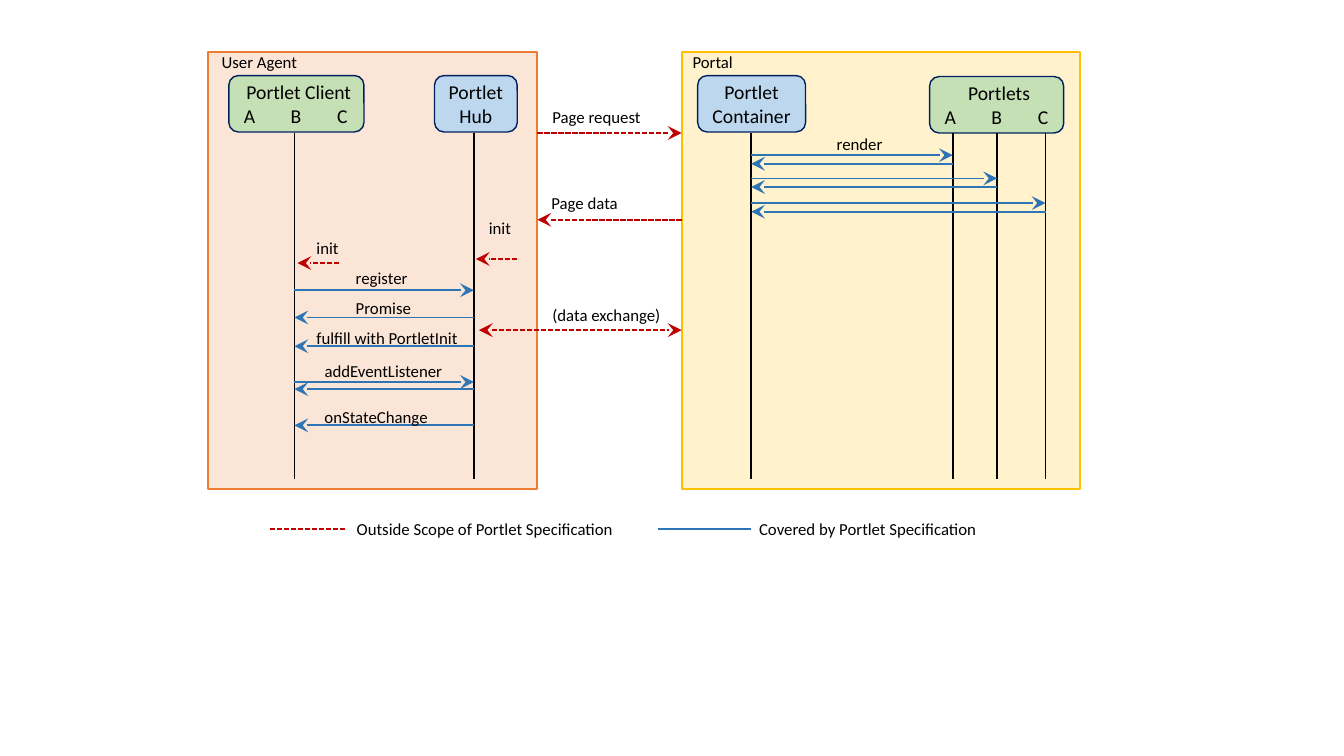
from dataclasses import dataclass

from lxml.etree import SubElement
from pptx import Presentation
from pptx.dml.color import RGBColor
from pptx.enum.dml import MSO_LINE
from pptx.enum.shapes import MSO_CONNECTOR as Connector, MSO_SHAPE as Preset
from pptx.enum.text import MSO_ANCHOR as Anchor, MSO_AUTO_SIZE as AutoSize, PP_ALIGN as Align
from pptx.oxml.ns import qn
from pptx.util import Emu, Inches, Pt

# Positions count columns and rows of a square grid.
CELL = Inches(0.1)
FONT = "Calibri"
BLACK, NAVY, GREEN, BLUE = "000000", "002060", "C5E0B4", "BDD7EE"
OUTSIDE, COVERED = "C00000", "2E75B6"
LETTER_TABS = (0.8, 5.4, 10)

# Columns of the lifelines and of the panel edges that face each other
CLIENT, HUB, CONTAINER = 29.2, 47, 74.5
PORTLETS = (94.5, 98.9, 103.7)
AGENT_EDGE, PORTAL_EDGE = 53.3, 67.6
LIFE_TOP, LIFE_END = 13.15, 47.5


@dataclass(frozen=True)
class Box:
    column: float
    row: float
    width: float
    height: float
    fill: str
    line: str
    text: str = ""


@dataclass(frozen=True)
class Label:
    text: str
    column: float
    row: float
    width: float


@dataclass(frozen=True)
class Message:
    start: float
    end: float
    row: float
    color: str = COVERED
    heads: tuple[str, ...] = ("tailEnd",)


PANELS = (
    Box(67.6, 5.2, 39.5, 43.3, "FFF2CC", "FFC000"),
    Box(20.6, 5.2, 32.7, 43.3, "FBE5D6", "ED7D31"),
)
PARTICIPANTS = (
    Box(22.7, 7.5, 13.4, 5.6, GREEN, NAVY, "Portlet Client\n\tA\tB\tC"),
    Box(43.1, 7.5, 8.2, 5.6, BLUE, NAVY, "Portlet\nHub"),
    Box(69.2, 7.5, 10.7, 5.6, BLUE, NAVY, "Portlet Container"),
    Box(92.2, 7.6, 13.3, 5.6, GREEN, NAVY, "Portlets\n\tA\tB\tC"),
)
RENDERS = tuple(
    message
    for portlet, row in zip(PORTLETS, (15.4, 17.7, 20.15))
    for message in (
        Message(CONTAINER, portlet, row),
        Message(portlet, CONTAINER, row + 0.85),
    )
)
MESSAGES = RENDERS + (
    Message(AGENT_EDGE, PORTAL_EDGE, 13.2, OUTSIDE),
    Message(PORTAL_EDGE, AGENT_EDGE, 21.8, OUTSIDE),
    Message(51.3, 47.2, 25.7, OUTSIDE),
    Message(33.6, 29.5, 26.1, OUTSIDE),
    Message(47.5, PORTAL_EDGE, 32.75, OUTSIDE, ("headEnd", "tailEnd")),
    Message(CLIENT, HUB, 28.8),
    Message(HUB, CLIENT, 31.5),
    Message(HUB, CLIENT, 34.35),
    Message(CLIENT, HUB, 37.9),
    Message(HUB, CLIENT, 38.6),
    Message(HUB, CLIENT, 42.2),
)
LEGEND = (
    Message(26.8, 34.4, 52.5, OUTSIDE, ()),
    Message(65.3, 74.5, 52.5, COVERED, ()),
)
LABELS = (
    Label("User Agent", 21, 4.6, 9.6),
    Label("Portal", 67.7, 4.6, 6.1),
    Label("Page request", 53.8, 10.1, 10.9),
    Label("render", 82, 12.8, 6.6),
    Label("Page data", 53.7, 18.6, 8.7),
    Label("init", 47.5, 21.1, 4.2),
    Label("init", 30.4, 23.1, 4.2),
    Label("register", 34.3, 26.1, 7.2),
    Label("Promise", 34.3, 29, 7.6),
    Label("(data exchange)", 53.8, 29.7, 12.8),
    Label("fulfill with PortletInit", 30.4, 32, 16.2),
    Label("addEventListener", 31.2, 35.3, 13.8),
    Label("onStateChange", 31.2, 39.9, 12.3),
    Label("Outside Scope of Portlet Specification", 34.4, 51, 27.7),
    Label("Covered by Portlet Specification", 74.3, 51, 23.8),
)


def grid(*cells: float) -> list[Emu]:
    return [Emu(round(cell * CELL)) for cell in cells]


def rgb(color: str) -> RGBColor:
    return RGBColor.from_string(color)


def style_text(paragraph, size: float) -> None:
    for run in paragraph.runs:
        run.font.name, run.font.size = FONT, Pt(size)
        run.font.color.rgb = rgb(BLACK)


def set_letter_tabs(paragraph) -> None:
    """Centre the tabbed letters on evenly spaced stops."""
    paragraph.alignment = Align.LEFT
    tab_list = SubElement(paragraph._p.get_or_add_pPr(), qn("a:tabLst"))
    for position in grid(*LETTER_TABS):
        SubElement(tab_list, qn("a:tab"), pos=str(position), algn="ctr")


def draw_box(slide, box: Box, preset: Preset, line_width: float) -> None:
    shape = slide.shapes.add_shape(preset, *grid(box.column, box.row, box.width, box.height))
    shape.shadow.inherit = False
    shape.fill.solid()
    shape.fill.fore_color.rgb = rgb(box.fill)
    shape.line.color.rgb = rgb(box.line)
    shape.line.width = Pt(line_width)
    if not box.text:
        return
    shape.text_frame.text = box.text
    shape.text_frame.word_wrap = True
    shape.text_frame.vertical_anchor = Anchor.MIDDLE
    # The letter rows fill the whole width, so the right side needs no margin.
    if "\t" in box.text:
        shape.text_frame.margin_right = Inches(0.05)
    for paragraph in shape.text_frame.paragraphs:
        paragraph.alignment = Align.CENTER
        if "\t" in paragraph.text:
            set_letter_tabs(paragraph)
        style_text(paragraph, 14)


def draw_line(slide, start: tuple[float, float], end: tuple[float, float], color: str):
    connector = slide.shapes.add_connector(Connector.STRAIGHT, *grid(*start, *end))
    connector.line.color.rgb = rgb(color)
    connector.line.width = Pt(1.25)
    SubElement(connector._element.spPr, qn("a:effectLst"))
    return connector


def draw_message(slide, message: Message) -> None:
    connector = draw_line(
        slide, (message.start, message.row), (message.end, message.row), message.color
    )
    if message.color == OUTSIDE:
        connector.line.dash_style = MSO_LINE.SQUARE_DOT
    for head in message.heads:
        SubElement(connector.line._get_or_add_ln(), qn(f"a:{head}"),
                   type="stealth", w="lg", len="lg")


def draw_label(slide, label: Label) -> None:
    shape = slide.shapes.add_textbox(*grid(label.column, label.row, label.width, 3))
    shape.text_frame.text = label.text
    shape.text_frame.word_wrap = False
    shape.text_frame.auto_size = AutoSize.SHAPE_TO_FIT_TEXT
    style_text(shape.text_frame.paragraphs[0], 12)


def main() -> None:
    presentation = Presentation()
    presentation.slide_width, presentation.slide_height = Inches(13.33), Inches(7.5)
    slide = presentation.slides.add_slide(presentation.slide_layouts[6])
    for panel in PANELS:
        draw_box(slide, panel, Preset.RECTANGLE, 1.5)
    for participant in PARTICIPANTS:
        draw_box(slide, participant, Preset.ROUNDED_RECTANGLE, 1)
    for column in (CLIENT, HUB, CONTAINER, *PORTLETS):
        draw_line(slide, (column, LIFE_TOP), (column, LIFE_END), BLACK)
    for message in MESSAGES + LEGEND:
        draw_message(slide, message)
    for label in LABELS:
        draw_label(slide, label)
    presentation.save("out.pptx")


if __name__ == "__main__":
    main()
